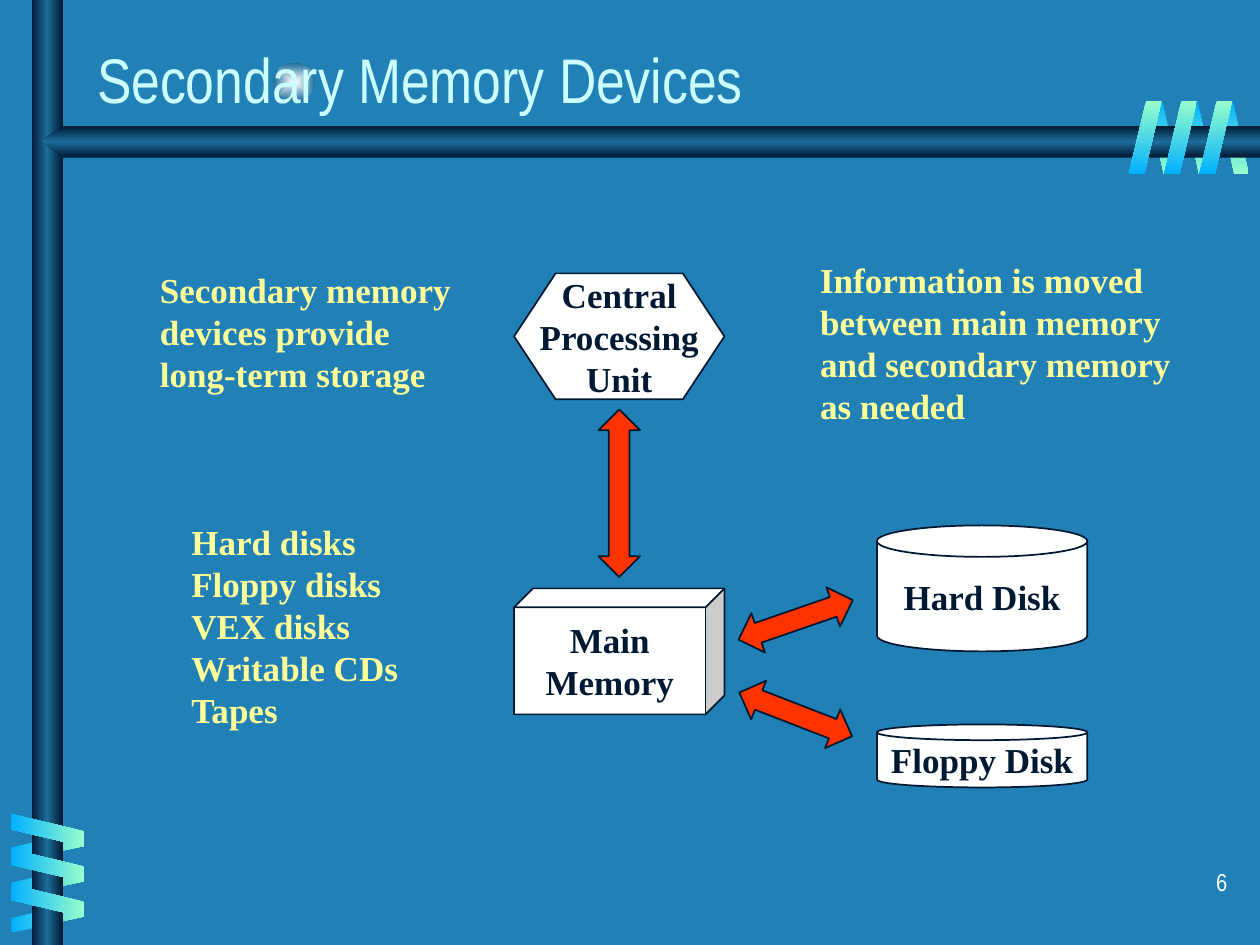
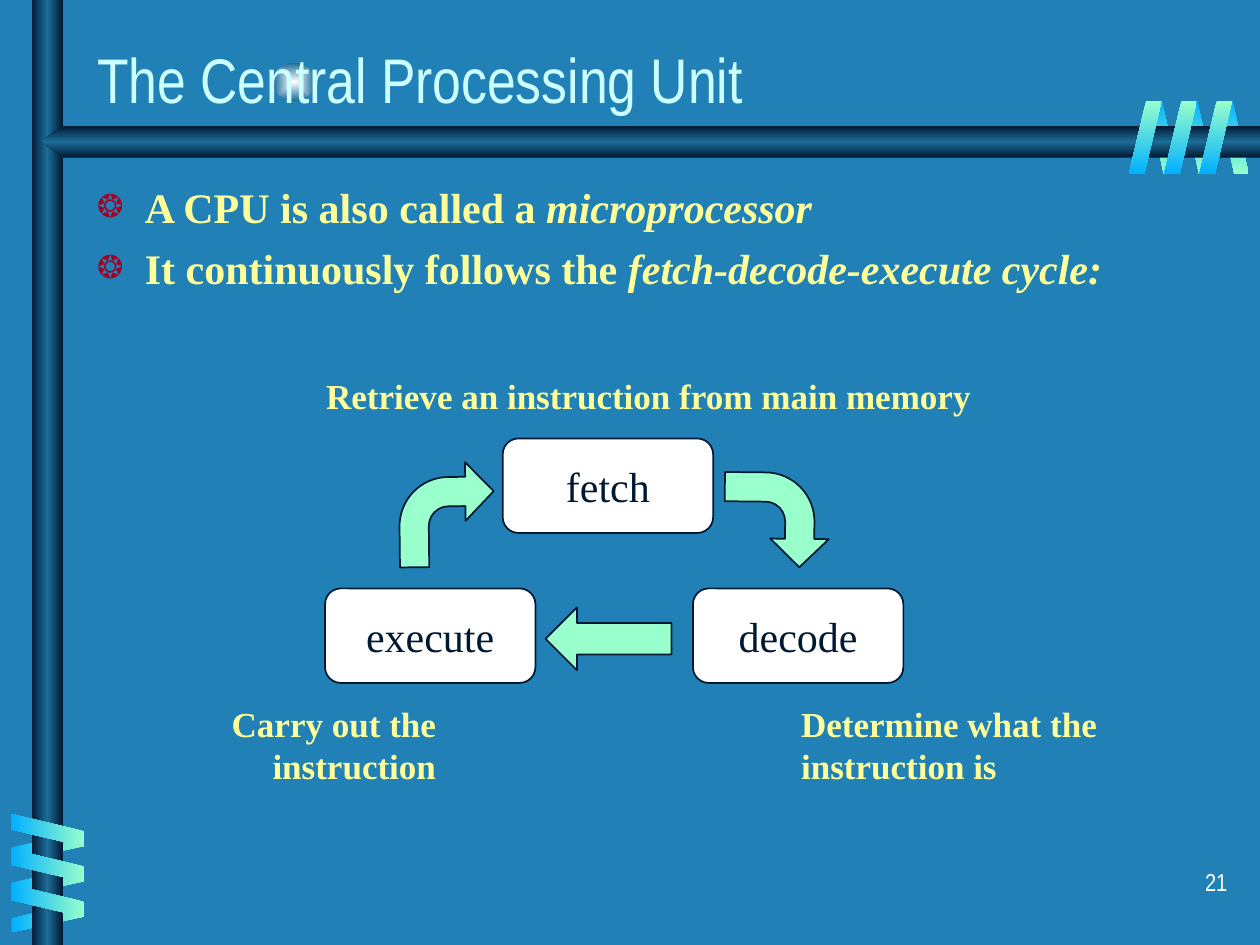
from pptx import Presentation
from pptx.dml.color import RGBColor
from pptx.enum.shapes import MSO_SHAPE
from pptx.enum.text import MSO_ANCHOR, MSO_AUTO_SIZE, PP_ALIGN
from pptx.oxml import parse_xml
from pptx.oxml.ns import nsdecls, qn
from pptx.util import Inches, Pt

LEFT, CENTER, RIGHT = PP_ALIGN.LEFT, PP_ALIGN.CENTER, PP_ALIGN.RIGHT
CAN, CUBE, HEXAGON = MSO_SHAPE.CAN, MSO_SHAPE.CUBE, MSO_SHAPE.HEXAGON
ROUND_RECT, ELLIPSE = MSO_SHAPE.ROUNDED_RECTANGLE, MSO_SHAPE.OVAL
RECT, SLANT = MSO_SHAPE.RECTANGLE, MSO_SHAPE.PARALLELOGRAM
TWO_WAY, LEFT_ARROW = MSO_SHAPE.UP_DOWN_ARROW, MSO_SHAPE.LEFT_ARROW
BENT_ARROW = MSO_SHAPE.BENT_ARROW

# Shared style
W, H = 10, 7.5
SANS, SERIF = "Arial Narrow", "Times New Roman"
BLUE, NAVY, STEEL = "2181B7", "001932", "1C6D9A"
SKY, MINT, ICE, WHITE = "01B0FF", "99FFCC", "CCFFFF", "FFFFFF"
YELLOW, RED, CRIMSON, GLOW = "FFFF99", "FF3300", "A50021", "FEFFFF"
BAR = [(0, NAVY), (50, STEEL), (100, NAVY)]
FRONT = [(0, MINT), (100, SKY)]
BACK = [(0, SKY), (100, MINT)]
COIL_STEP, COIL_TURNS, COIL_SLANT = 0.28, 3, 0.53

# Slide 1: memory diagram
MEMORY_TITLE, MEMORY_NUMBER = "Secondary Memory Devices", "6"
DISK_X, UNIT_X, PART_W = 6.96, 4.08, 1.67
DEVICES = [  # shape, box, adjustment, lines
    (CAN, (DISK_X, 5.75, PART_W, 0.5), 0.25, ["Floppy Disk"]),
    (CAN, (DISK_X, 4.17, PART_W, 1), 0.25, ["Hard Disk"]),
    (CUBE, (UNIT_X, 4.67, PART_W, 1), 0.15, ["Main", "Memory"]),
    (HEXAGON, (UNIT_X, 2.17, PART_W, 1), 0.33,
     ["Central", "Processing", "Unit"]),
]
TRANSFERS = [  # box, rotation, head length
    ((6.15, 4.44, 0.33, 0.96), 70.9, 0.57),
    ((6.15, 5.19, 0.33, 0.96), 111.2, 0.57),
    ((4.75, 3.25, 0.33, 1.33), 0, 0.8),
]
MEMORY_NOTES = [  # box, alignment, wrap, lines
    ((1.17, 2.08, 2.51, 1.1), LEFT, False,
     ["Secondary memory", "devices provide", "long-term storage"]),
    ((6.41, 2, 2.98, 1.44), LEFT, False,
     ["Information is moved", "between main memory",
      "and secondary memory", "as needed"]),
    ((1.42, 4.08, 1.92, 1.77), LEFT, True,
     ["Hard disks", "Floppy disks", "VEX disks", "Writable CDs", "Tapes"]),
]

# Slide 2: instruction cycle
CPU_TITLE, CPU_NUMBER = "The Central Processing Unit", "21"
CPU_POINTS = [  # plain part, italic part
    ("A CPU is also called a ", "microprocessor"),
    ("It continuously follows the ", "fetch-decode-execute cycle:"),
]
STEPS = [("fetch", 3.99, 3.48), ("decode", 5.5, 4.67), ("execute", 2.58, 4.67)]
BEND = [0.31, 0.31, 0.3, 0.52]
CYCLE_ARROWS = [  # shape, box, rotation, adjustments
    (BENT_ARROW, (3.17, 3.67, 0.75, 0.83), 359.4, BEND),
    (BENT_ARROW, (5.79, 3.71, 0.75, 0.83), 90.6, BEND),
    (LEFT_ARROW, (4.33, 4.82, 1, 0.5), 0, [0.5, 0.5]),
]
CYCLE_NOTES = [
    ((2.49, 2.92, 5.32, 0.44), LEFT, False,
     ["Retrieve an instruction from main memory"]),
    ((6.26, 5.53, 2.55, 0.77), LEFT, False,
     ["Determine what the", "instruction is"]),
    ((1.74, 5.53, 1.82, 0.77), RIGHT, False,
     ["Carry out the", "instruction"]),
]


def rgb(color):
    return RGBColor.from_string(color)


def emu(box):
    return [Inches(v) for v in box]


def place(sp, box):
    sp.left, sp.top, sp.width, sp.height = emu(box)


def add_run(p, text, size, color, font=SERIF, bold=False, italic=False):
    r = p.add_run()
    r.text = text
    f = r.font
    f.size, f.name, f.bold, f.italic = Pt(size), font, bold, italic
    f.color.rgb = rgb(color)


def write(tf, lines, size, color, align=LEFT, font=SERIF, bold=False):
    for i, line in enumerate(lines):
        p = tf.add_paragraph() if i else tf.paragraphs[0]
        p.alignment = align
        add_run(p, line, size, color, font, bold)


def gradient(sp, stops, angle=None):
    """Fill with a linear gradient, or one from the centre without an angle."""
    stop_xml = "".join(
        f'<a:gs pos="{pos * 1000}"><a:srgbClr val="{color}"/></a:gs>'
        for pos, color in stops)
    if angle is None:
        way = ('<a:path path="rect"><a:fillToRect l="50000" t="50000" '
               'r="50000" b="50000"/></a:path>')
    else:
        way = f'<a:lin ang="{angle * 60000}" scaled="0"/>'
    sp.fill.background()
    props = sp._element.spPr
    props.replace(props.find(qn("a:noFill")), parse_xml(
        f'<a:gradFill {nsdecls("a")} rotWithShape="0">'
        f'<a:gsLst>{stop_xml}</a:gsLst>{way}</a:gradFill>'))
    sp.line.fill.background()
    sp.shadow.inherit = False


def add_shape(s, kind, box, rotation=0, adjust=()):
    sp = s.shapes.add_shape(kind, *emu(box))
    sp.rotation = rotation
    for i, value in enumerate(adjust):
        sp.adjustments[i] = value
    sp.shadow.inherit = False
    return sp


def add_part(s, kind, box, fill, rotation=0, adjust=()):
    sp = add_shape(s, kind, box, rotation, adjust)
    sp.fill.solid()
    sp.fill.fore_color.rgb = rgb(fill)
    sp.line.color.rgb = rgb(NAVY)
    sp.line.width = Pt(1)
    return sp


def label(sp, lines, size, bold=False):
    tf = sp.text_frame
    tf.word_wrap = False
    tf.vertical_anchor = MSO_ANCHOR.MIDDLE
    write(tf, lines, size, NAVY, CENTER, bold=bold)


def add_notes(s, notes):
    for box, align, wrap, lines in notes:
        tf = s.shapes.add_textbox(*emu(box)).text_frame
        tf.word_wrap = wrap
        tf.auto_size = MSO_AUTO_SIZE.SHAPE_TO_FIT_TEXT
        write(tf, lines, 20, YELLOW, align, bold=True)


def add_coil(s, x, y, dx, dy, width, rotation, stops, angle, flip=False):
    for i in range(COIL_TURNS):
        box = (x + i * dx, y + i * dy, width, 0.58)
        sp = add_shape(s, SLANT, box, rotation, [COIL_SLANT])
        gradient(sp, stops, angle)
        if flip:
            sp._element.spPr.xfrm.set("flipH", "1")


def add_bars(s):
    post = add_shape(s, RECT, (0.25, 0, 0.25, H))
    gradient(post, BAR, 180)
    points = [emu(pt) for pt in
              [(W, 1), (0.5, 1), (0.33, 1.12), (0.5, 1.25), (W, 1.25)]]
    outline = s.shapes.build_freeform(*points[0])
    outline.add_line_segments(points[1:], close=True)
    gradient(outline.convert_to_shape(), BAR, 90)


def new_slide(prs, layout, title, number):
    s = prs.slides.add_slide(prs.slide_layouts[layout])
    s.background.fill.solid()
    s.background.fill.fore_color.rgb = rgb(BLUE)

    # Glow, and bars threaded through two coils
    gradient(add_shape(s, ELLIPSE, (2.17, 0.5, 0.33, 0.3)), [(0, GLOW), (100, STEEL)])
    add_coil(s, 9.11, 0.8, COIL_STEP, 0, 0.24, 180, BACK, 90, flip=True)
    add_coil(s, 0.26, 6.43, 0, COIL_STEP, 0.24, 90, BACK, 180, flip=True)
    add_bars(s)
    add_coil(s, 0.25, 6.3, 0, COIL_STEP, 0.26, 270, FRONT, 180)
    add_coil(s, 8.96, 0.8, COIL_STEP, 0, 0.26, 0, FRONT, 90)

    # Title above the decoration
    sp = s.shapes.title
    place(sp, (0.67, 0.22, 8.3, 0.75))
    tf = sp.text_frame
    tf.vertical_anchor = MSO_ANCHOR.BOTTOM
    tf.auto_size = MSO_AUTO_SIZE.NONE
    write(tf, [title], 36, ICE, font=SANS)
    s.shapes._spTree.append(sp._element)

    # Slide number
    tf = s.shapes.add_textbox(*emu((7.76, 6.83, 2.08, 0.5))).text_frame
    tf.word_wrap = True
    write(tf, [number], 14, WHITE, RIGHT, SANS)
    tf.paragraphs[0].space_before = Pt(8.8)
    return s


def add_bullet(p):
    props = p._p.get_or_add_pPr()
    props.set("marL", str(Inches(0.38)))
    props.set("indent", str(-Inches(0.38)))
    for xml in (f'<a:buClr {nsdecls("a")}><a:srgbClr val="{CRIMSON}"/></a:buClr>',
                f'<a:buSzPct {nsdecls("a")} val="75000"/>',
                f'<a:buChar {nsdecls("a")} char="❂"/>'):
        props.append(parse_xml(xml))


def memory_slide(prs):
    s = new_slide(prs, 5, MEMORY_TITLE, MEMORY_NUMBER)
    for kind, box, adjust, lines in DEVICES:
        label(add_part(s, kind, box, WHITE, adjust=[adjust]), lines, 20, True)
    for box, rotation, head in TRANSFERS:
        add_part(s, TWO_WAY, box, RED, rotation, [head, 0.5])
    add_notes(s, MEMORY_NOTES)


def cpu_slide(prs):
    s = new_slide(prs, 1, CPU_TITLE, CPU_NUMBER)
    body = s.placeholders[1]
    place(body, (0.67, 1.39, 9.08, 1.2))
    tf = body.text_frame
    tf.auto_size = MSO_AUTO_SIZE.NONE
    for i, (plain, term) in enumerate(CPU_POINTS):
        p = tf.add_paragraph() if i else tf.paragraphs[0]
        p.space_before = Pt(6)
        add_bullet(p)
        add_run(p, plain, 24, YELLOW, bold=True)
        add_run(p, term, 24, YELLOW, bold=True, italic=True)
    for name, x, y in STEPS:
        label(add_part(s, ROUND_RECT, (x, y, PART_W, 0.75), WHITE), [name], 24)
    for kind, box, rotation, adjust in CYCLE_ARROWS:
        add_part(s, kind, box, MINT, rotation, adjust)
    add_notes(s, CYCLE_NOTES)


def main():
    prs = Presentation()
    prs.slide_width, prs.slide_height = Inches(W), Inches(H)
    memory_slide(prs)
    cpu_slide(prs)
    prs.save("out.pptx")


if __name__ == "__main__":
    main()
